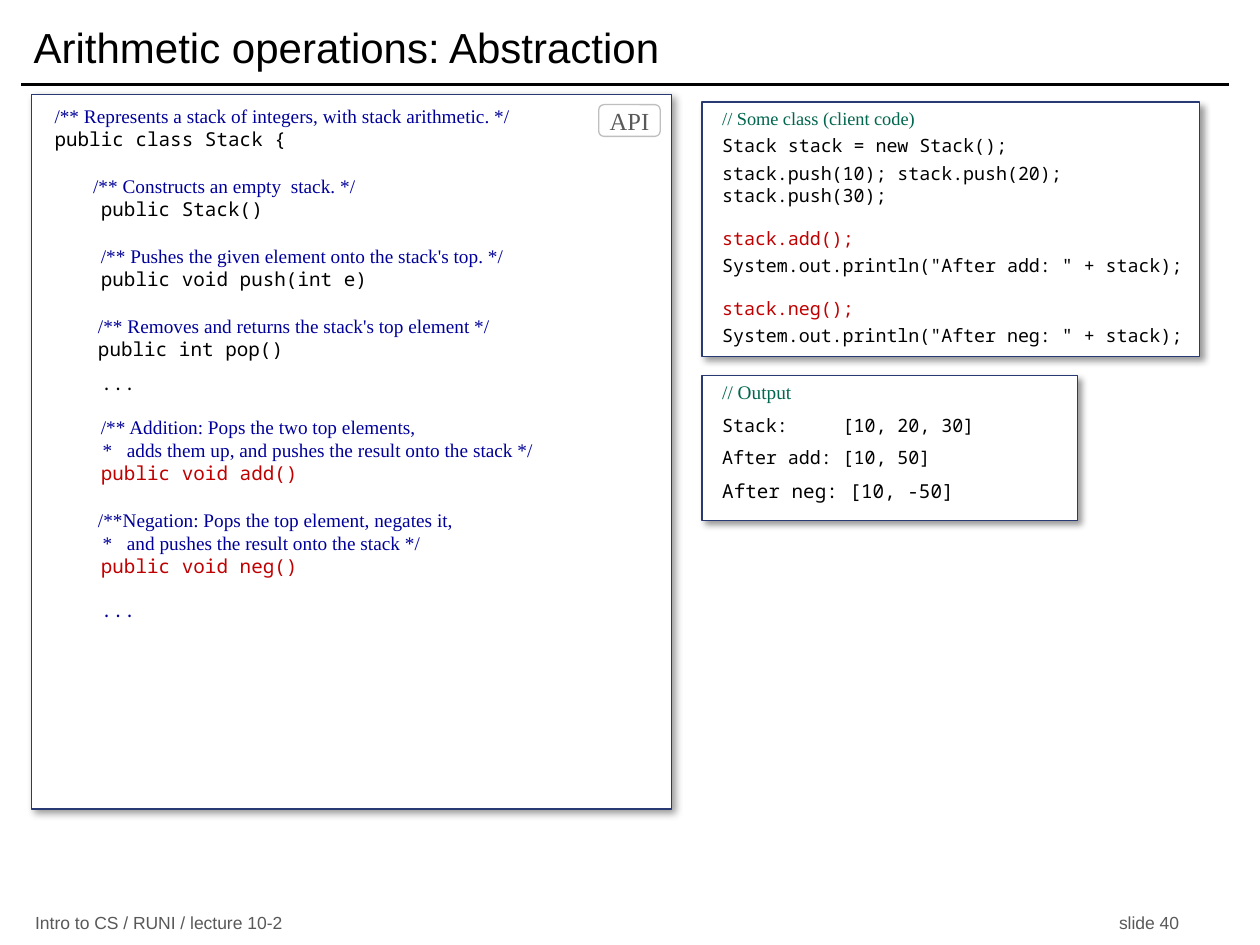
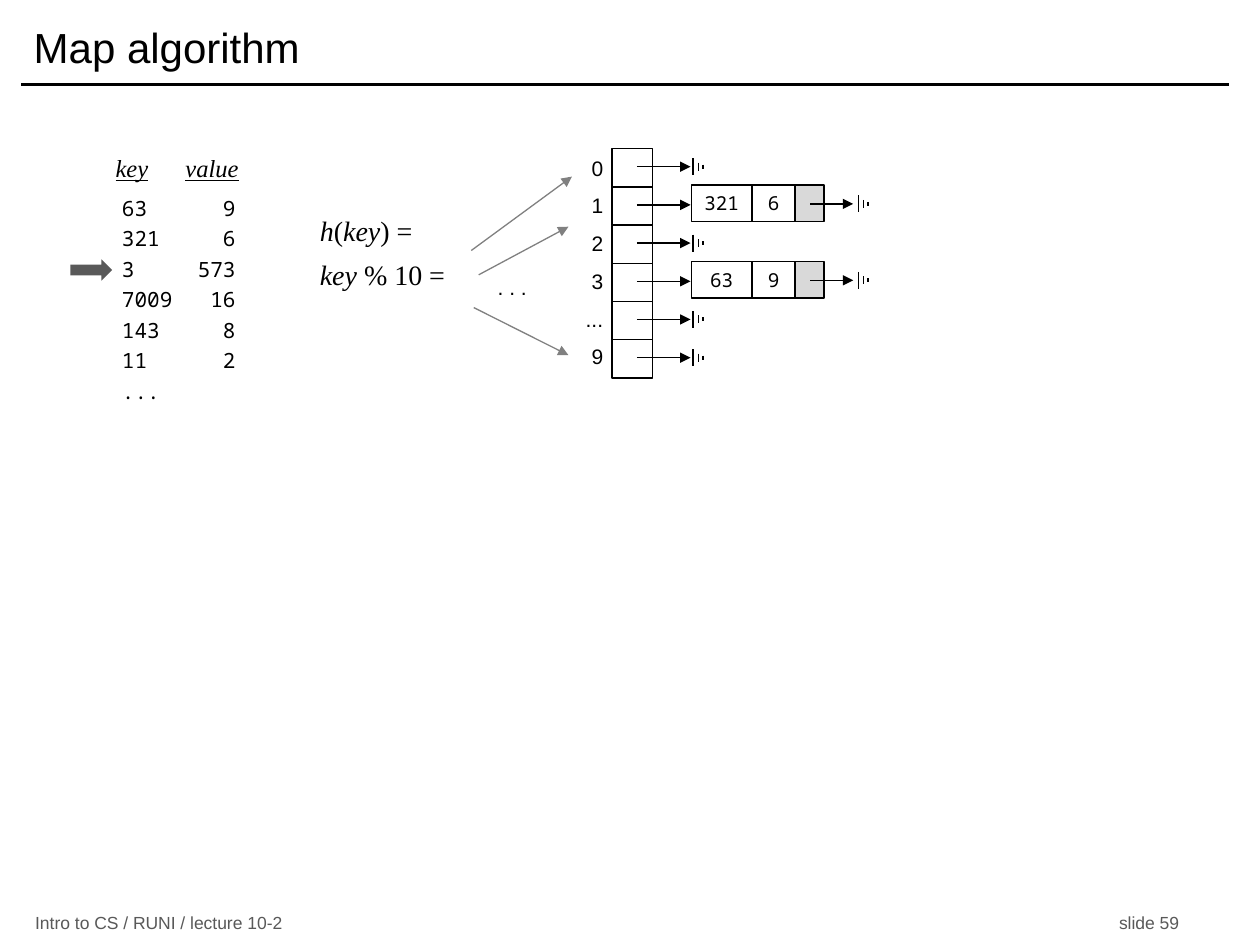
import dataclasses
import typing

import lxml.etree
import pptx
import pptx.dml.color
import pptx.enum.shapes
import pptx.enum.text
import pptx.oxml.ns
import pptx.util

Cm = pptx.util.Cm
Pt = pptx.util.Pt
SHAPE = pptx.enum.shapes.MSO_SHAPE
ALIGN = pptx.enum.text.PP_ALIGN
ANCHOR = pptx.enum.text.MSO_ANCHOR


@dataclasses.dataclass(frozen=True)
class Style:
    family: str
    size: float
    color: str
    italic: bool = False
    underline: bool = False


@dataclasses.dataclass(frozen=True)
class Theme:
    sans: str = "Arial"
    serif: str = "Times New Roman"
    mono: str = "Noto Sans Mono"
    ink: str = "000000"
    paper: str = "FFFFFF"
    muted: str = "595959"
    hash_arrow: str = "808080"
    link_cell: str = "D9D9D9"
    badge_edge: str = "BFBFBF"
    panel_edge: str = "293973"
    doc: str = "000099"
    remark: str = "00664D"
    accent: str = "C00000"
    thin: float = 0.75
    rule: float = 2
    title_size: float = 24
    formula_size: float = 16
    heading_size: float = 14
    label_size: float = 12
    code_size: float = 11
    client_size: float = 10.5
    footer_size: float = 10


THEME = Theme()
TITLE = Style(THEME.sans, THEME.title_size, THEME.ink)
FOOTER = Style(THEME.sans, THEME.footer_size, THEME.muted)
LABEL = Style(THEME.sans, THEME.label_size, THEME.ink)
BADGE = Style(THEME.serif, THEME.heading_size, THEME.muted)
DOC = Style(THEME.serif, THEME.code_size, THEME.doc)
CODE = Style(THEME.mono, THEME.code_size, THEME.ink)
KEY_CODE = dataclasses.replace(CODE, color=THEME.accent)
DOC_DOTS = dataclasses.replace(CODE, color=THEME.doc)
CLIENT = dataclasses.replace(CODE, size=THEME.client_size)
KEY_CLIENT = dataclasses.replace(CLIENT, color=THEME.accent)
CLIENT_REMARK = Style(THEME.serif, THEME.client_size, THEME.remark)
OUTPUT_REMARK = dataclasses.replace(CLIENT_REMARK, size=THEME.code_size)
ENTRY = dataclasses.replace(CODE, size=THEME.label_size)
FORMULA = Style(THEME.serif, THEME.formula_size, THEME.ink)
VARIABLE = dataclasses.replace(FORMULA, italic=True)
HEADING_GAP = Style(THEME.serif, THEME.heading_size, THEME.ink, italic=True)
HEADING = dataclasses.replace(HEADING_GAP, underline=True)


@dataclasses.dataclass
class Line:
    runs: list
    before: float = 0
    align: typing.Any = ALIGN.LEFT
    tab: typing.Any = None
    spacing: typing.Any = None


def rgb(color):
    return pptx.dml.color.RGBColor.from_string(color)


def add_xml(parent, tag, **attributes):
    return lxml.etree.SubElement(parent, pptx.oxml.ns.qn(tag), attributes)


def apply_style(font, style):
    font.name = style.family
    font.size = Pt(style.size)
    font.color.rgb = rgb(style.color)
    font.italic = style.italic
    font.underline = style.underline


def write(frame, lines, insets=(0.25, 0.13, 0.25, 0.13), anchor=ANCHOR.TOP):
    frame.word_wrap = True
    frame.vertical_anchor = anchor
    (frame.margin_left, frame.margin_top,
     frame.margin_right, frame.margin_bottom) = map(Cm, insets)
    for index, line in enumerate(lines):
        paragraph = frame.add_paragraph() if index else frame.paragraphs[0]
        if line.tab:
            position, side = line.tab
            stops = add_xml(paragraph._p.get_or_add_pPr(), "a:tabLst")
            add_xml(stops, "a:tab", pos=str(Cm(position)), algn=side)
        paragraph.alignment = line.align
        paragraph.space_before = Pt(line.before)
        if line.spacing:
            paragraph.line_spacing = line.spacing
        styles = {style for _, style in line.runs}
        if len(styles) == 1:
            apply_style(paragraph.font, styles.pop())
            paragraph.add_run().text = "".join(text for text, _ in line.runs)
        else:
            for text, style in line.runs:
                run = paragraph.add_run()
                run.text = text
                apply_style(run.font, style)


def add_text(slide, box, lines, **layout):
    write(slide.shapes.add_textbox(*map(Cm, box)).text_frame, lines, **layout)


def add_block(slide, kind, box, fill, edge=None):
    block = slide.shapes.add_shape(kind, *map(Cm, box))
    block.shadow.inherit = False
    block.fill.solid()
    block.fill.fore_color.rgb = rgb(fill)
    if edge:
        block.line.color.rgb = rgb(edge)
        block.line.width = Pt(THEME.thin)
    else:
        block.line.fill.background()
    return block


def add_line(slide, start, end, color=THEME.ink, width=THEME.thin, arrow=False):
    line = slide.shapes.add_connector(
        pptx.enum.shapes.MSO_CONNECTOR.STRAIGHT, *map(Cm, start + end))
    line.line.color.rgb = rgb(color)
    line.line.width = Pt(width)
    if arrow:
        add_xml(line.line._get_or_add_ln(), "a:tailEnd", type="triangle")
    add_xml(line._element.spPr, "a:effectLst")


def add_frame(deck, title, number):
    slide = deck.slides.add_slide(deck.slide_layouts[6])
    add_line(slide, (0.43, 1.7), (24.77, 1.7), width=THEME.rule)
    footer = f"Intro to CS / RUNI / lecture 10-2\tslide {number}"
    add_text(slide, (0.46, 18.36, 23.93, 0.48),
             [Line([(footer, FOOTER)], tab=(23.06, "r"))], anchor=ANCHOR.MIDDLE)
    add_text(slide, (0.43, 0.2, 24.33, 1.47), [Line([(title, TITLE)])],
             anchor=ANCHOR.MIDDLE)
    return slide


def add_panel(slide, box, lines, insets):
    panel = add_block(slide, SHAPE.RECTANGLE, box, THEME.paper, THEME.panel_edge)
    effects = panel._element.spPr.find(pptx.oxml.ns.qn("a:effectLst"))
    shadow = add_xml(effects, "a:outerShdw", blurRad=str(Pt(4)), dist=str(Pt(3)),
                     dir="2700000", algn="tl", rotWithShape="0")
    add_xml(add_xml(shadow, "a:srgbClr", val=THEME.ink), "a:alpha", val="40000")
    write(panel.text_frame, lines, insets=insets)


def add_api(slide, box):
    member = 13.5
    add_panel(slide, box, [
        Line([("/** Represents a stack of integers, with stack arithmetic. */", DOC)]),
        Line([("public class Stack {", CODE)]),
        Line([("        /** Constructs an empty  stack. */", DOC)], member),
        Line([("    public Stack()", CODE)]),
        Line([("    ", CODE),
              ("/** Pushes the given element onto the stack's top. */", DOC)], member),
        Line([("    public void push(int e)", CODE)]),
        Line([("         /** Removes and returns the stack's top element */", DOC)],
             member),
        Line([("         ", DOC), ("public int pop()", CODE)]),
        Line([("    ...", CODE)], 6),
        Line([("    ", CODE), ("/** Addition: Pops the two top elements,", DOC)], 12),
        Line([("          *   adds them up, and pushes the result onto the stack */",
               DOC)]),
        Line([("    public void add()", KEY_CODE)]),
        Line([("         /**Negation: Pops the top element, negates it,", DOC)], member),
        Line([("          *   and pushes the result onto the stack */", DOC)]),
        Line([("    public void neg()", KEY_CODE)]),
        Line([("    ...", DOC_DOTS)], 12),
    ], (0.46, 0.2, 0, 0))
    left, top, _, _ = box
    badge = add_block(slide, SHAPE.ROUNDED_RECTANGLE,
                      (left + 11.43, top + 0.2, 1.24, 0.64),
                      THEME.paper, THEME.badge_edge)
    write(badge.text_frame, [Line([("API", BADGE)], align=ALIGN.CENTER)],
          insets=(0, 0.13, 0, 0.13), anchor=ANCHOR.MIDDLE)


def add_client(slide, box):
    add_panel(slide, box, [
        Line([("// Some class (client code)", CLIENT_REMARK)]),
        Line([("Stack stack = new Stack();", CLIENT)], 3),
        Line([("stack.push(10); stack.push(20); stack.push(30);", CLIENT)], 3),
        Line([("stack.add();", KEY_CLIENT)], 12),
        Line([('System.out.println("After add: " + stack);', CLIENT)], 3),
        Line([("stack.neg();", KEY_CLIENT)], 12),
        Line([('System.out.println("After neg: " + stack);', CLIENT)], 3),
    ], (0.41, 0.1, 0, 0))


def add_output(slide, box):
    add_panel(slide, box, [
        Line([("// Output", OUTPUT_REMARK)]),
        Line([("Stack:     [10, 20, 30]", CLIENT)], 6),
        Line([("After add: [10, 50]", CLIENT)], 6),
        Line([("After neg: [10, -50]", CODE)], 6),
    ], (0.41, 0.1, 0, 0))


def add_entries(slide, left, top):
    add_text(slide, (left + 0.66, top, 8.05, 0.84), [
        Line([("key", HEADING), ("\t", HEADING_GAP), ("value", HEADING)],
             tab=(1.41, "l"), spacing=0.8)])
    entries = [(63, 9), (321, 6), (3, 573), (7009, 16), (143, 8), (11, 2)]
    rows = [Line([(f"{key}\t{value}", ENTRY)], 3 if index else 0, tab=(2.29, "r"))
            for index, (key, value) in enumerate(entries)]
    add_text(slide, (left + 0.79, top + 0.74, 6.68, 6.2),
             rows + [Line([("...", ENTRY)], 3)])
    add_block(slide, SHAPE.RIGHT_ARROW, (left, top + 2.16, 0.84, 0.43), THEME.muted)


def add_label(slide, left, top, text):
    add_text(slide, (left, top, 1.27, 0.76),
             [Line([(text, LABEL)], align=ALIGN.RIGHT)], insets=(0, 0.13, 0.2, 0.13))


def add_hash(slide, left, top):
    add_text(slide, (left, top + 0.61, 3.18, 1.83), [
        Line([("h", VARIABLE), ("(", FORMULA), ("key", VARIABLE), (") =", FORMULA)]),
        Line([("key", VARIABLE), (" % 10 =", FORMULA)], 6)])
    add_label(slide, left + 3.35, top + 1.85, ". . .")
    for x1, y1, x2, y2 in [(3.3, 1.49, 5.33, 0), (3.45, 1.98, 5.26, 1.01),
                           (3.35, 2.64, 5.26, 3.6)]:
        add_line(slide, (left + x1, top + y1), (left + x2, top + y2),
                 THEME.hash_arrow, arrow=True)


def add_null(slide, left, middle):
    for offset, length in [(0, 0.34), (0.11, 0.16), (0.2, 0.08)]:
        add_line(slide, (left + offset, middle - length / 2),
                 (left + offset, middle + length / 2))


def add_node(slide, left, top, key, value):
    offset = 0
    for text, width, fill in [(key, 1.22, THEME.paper), (value, 0.87, THEME.paper),
                              ("", 0.58, THEME.link_cell)]:
        cell = add_block(slide, SHAPE.RECTANGLE, (left + offset, top, width, 0.74),
                         fill, THEME.ink)
        if text:
            write(cell.text_frame, [Line([(text, CODE)], align=ALIGN.CENTER)],
                  insets=(0, 0.13, 0, 0.13))
        offset += width
    link = top + 0.38
    add_line(slide, (left + 2.39, link), (left + 3.26, link), arrow=True)
    add_null(slide, left + 3.36, link)


def add_buckets(slide, left, top):
    width, height = 0.81, 0.77
    nodes = {"1": ("321", "6"), "3": ("63", "9")}
    for index, label in enumerate(["0", "1", "2", "3", "...", "9"]):
        row = top + index * height
        add_block(slide, SHAPE.RECTANGLE, (left, row, width, height),
                  THEME.paper, THEME.ink)
        add_label(slide, left - 1.25, top + index * 0.76, label)
        if label in nodes:
            add_node(slide, left + 1.6, row - 0.04, *nodes[label])
        else:
            add_null(slide, left + 1.63, row + 0.36)
        add_line(slide, (left + 0.5, row + 0.36), (left + 1.58, row + 0.36), arrow=True)


def main():
    deck = pptx.Presentation()
    deck.slide_width, deck.slide_height = Cm(25.4), Cm(19.05)

    abstraction = add_frame(deck, "Arithmetic operations: Abstraction", 40)
    add_api(abstraction, (0.64, 1.91, 12.9, 14.4))
    add_client(abstraction, (14.15, 2.06, 10.03, 5.13))
    add_output(abstraction, (14.15, 7.57, 7.57, 2.92))

    algorithm = add_frame(deck, "Map algorithm", 59)
    add_entries(algorithm, 1.42, 3.07)
    add_hash(algorithm, 6.2, 3.56)
    add_buckets(algorithm, 12.34, 3)

    deck.save("out.pptx")


if __name__ == "__main__":
    main()
